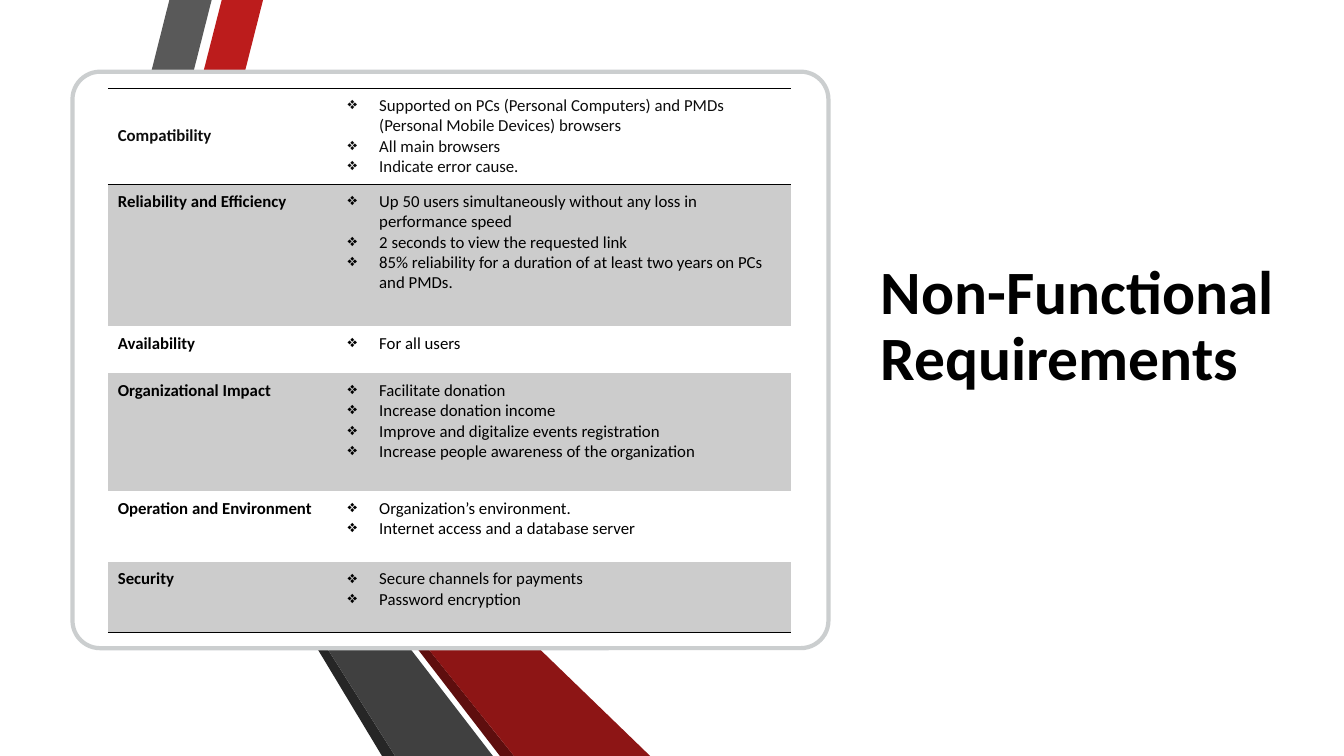
from lxml import etree
from pptx import Presentation
from pptx.dml.color import RGBColor
from pptx.enum.shapes import MSO_SHAPE as SHAPE
from pptx.enum.text import MSO_ANCHOR as ANCHOR, PP_ALIGN as ALIGN
from pptx.oxml.ns import qn
from pptx.util import Pt

# Content
TITLE = "Non-Functional Requirements"
REQUIREMENTS = [  # heading, row height, points
    ("Compatibility", 68.2, [
        "Supported on PCs (Personal Computers) and PMDs (Personal Mobile Devices) browsers",
        "All main browsers",
        "Indicate error cause."]),
    ("Reliability and Efficiency", 101.6, [
        "Up 50 users simultaneously without any loss in performance speed",
        "2 seconds to view the requested link",
        "85% reliability for a duration of at least two years on PCs and PMDs."]),
    ("Availability", 33.5, ["For all users"]),
    ("Organizational Impact", 84.2, [
        "Facilitate donation",
        "Increase donation income",
        "Improve and digitalize events registration",
        "Increase people awareness of the organization"]),
    ("Operation and Environment", 50.5, [
        "Organization’s environment.",
        "Internet access and a database server"]),
    ("Security", 50.5, [
        "Secure channels for payments",
        "Password encryption"]),
]
RIBBONS = [  # colour, outline
    ("BC1C1C", [(104.4, 211.7), (132.5, 218.9), (187.9, 0), (158.4, 0)]),
    ("595959", [(98, 210.2), (151.2, 0), (121, 0), (69.8, 203)]),
    ("262626", [(69.8, 203), (272.9, 540), (282.2, 540)]),
    ("5E0E0E", [(104.4, 211.7), (357.1, 540), (367.2, 540)]),
    ("8D1515", [(104.4, 211.7), (367.2, 540), (464.4, 540), (132.5, 218.9)]),
    ("404040", [(69.8, 203), (282.2, 540), (352.1, 540), (103, 216.7), (98, 210.2)]),
]
FONT = "Calibri"
COLUMNS = (164.2, 324)
INDENT = 22.5
BULLET = "❖"
NO_STYLE = "{2D5ABB26-0587-4C30-8999-92F81FD0307C}"


def rgb(color):
    return RGBColor.from_string(color)


def paint(sp, color):
    sp.fill.solid()
    sp.fill.fore_color.rgb = rgb(color)
    sp.shadow.inherit = False


def add_run(p, text, size, bold=False, color="000000"):
    r = p.add_run()
    r.text = text
    r.font.name, r.font.size, r.font.bold = FONT, Pt(size), bold
    r.font.color.rgb = rgb(color)


def add_bullet(p):
    pPr = p._p.get_or_add_pPr()
    pPr.set("marL", str(Pt(INDENT)))
    pPr.set("indent", str(-Pt(INDENT)))
    etree.SubElement(pPr, qn("a:buChar"), char=BULLET)


def add_rule(cell, index, side):
    ln = etree.Element(qn("a:" + side), w=str(Pt(1)))
    fill = etree.SubElement(ln, qn("a:solidFill"))
    etree.SubElement(fill, qn("a:srgbClr"), val="000000")
    cell._tc.get_or_add_tcPr().insert(index, ln)


prs = Presentation()
prs.slide_width, prs.slide_height = Pt(960), Pt(540)
s = prs.slides.add_slide(prs.slide_layouts[5])

# Ribbons
for color, points in RIBBONS:
    builder = s.shapes.build_freeform(Pt(points[0][0]), Pt(points[0][1]))
    builder.add_line_segments([(Pt(x), Pt(y)) for x, y in points[1:]])
    sp = builder.convert_to_shape()
    paint(sp, color)
    sp.line.fill.background()

# Panel
panel = s.shapes.add_shape(SHAPE.ROUNDED_RECTANGLE, Pt(51.8), Pt(51.2), Pt(540), Pt(411.8))
panel.adjustments[0] = 0.048
paint(panel, "FFFFFF")
panel.line.color.rgb = rgb("CBCECF")
panel.line.width = Pt(3)

# Title
title = s.shapes.title
title.left, title.top, title.width, title.height = Pt(622), Pt(177), Pt(338), Pt(108)
tf = title.text_frame
tf.word_wrap = True
tf.vertical_anchor = ANCHOR.BOTTOM
p = tf.paragraphs[0]
p.alignment = ALIGN.LEFT
p.line_spacing = 0.9
add_run(p, TITLE, 44, True)

# Requirements table
height = sum(row[1] for row in REQUIREMENTS)
table = s.shapes.add_table(len(REQUIREMENTS), len(COLUMNS), Pt(77), Pt(63),
                           Pt(sum(COLUMNS)), Pt(height)).table
table.first_row = table.horz_banding = False
table._tbl.tblPr[0].text = NO_STYLE
for column, width in zip(table.columns, COLUMNS):
    column.width = Pt(width)

last = len(REQUIREMENTS) - 1
for i, (heading, row_height, points) in enumerate(REQUIREMENTS):
    table.rows[i].height = Pt(row_height)
    for j, lines in enumerate(([heading], points)):
        cell = table.cell(i, j)
        cell.margin_left = Pt(7.2)
        cell.margin_right = cell.margin_top = cell.margin_bottom = Pt(5)
        cell.vertical_anchor = ANCHOR.TOP if i else ANCHOR.MIDDLE
        cell.fill.solid()
        cell.fill.fore_color.rgb = rgb("CCCCCC" if i % 2 else "FFFFFF")
        sides = {0: ["lnT", "lnB"], last: ["lnB"]}.get(i, [])
        for index, side in enumerate(sides):
            add_rule(cell, index, side)
        tf = cell.text_frame
        for k, line in enumerate(lines):
            p = tf.add_paragraph() if k else tf.paragraphs[0]
            if j:
                add_bullet(p)
            add_run(p, line, 12, j == 0, "000000" if i else "0D0D0D")

prs.save("out.pptx")
